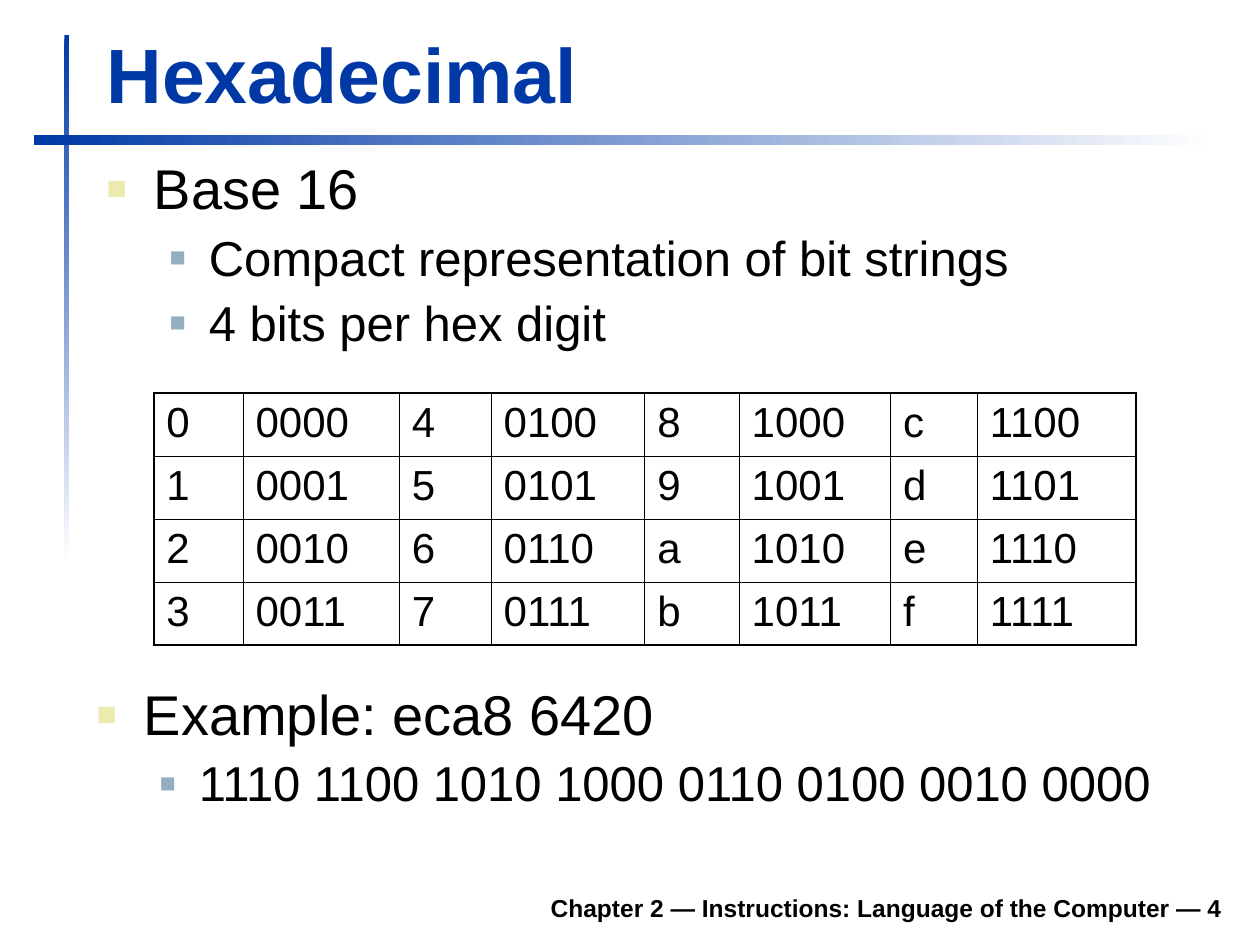
from dataclasses import dataclass

from lxml.etree import SubElement
from pptx import Presentation
from pptx.dml.color import RGBColor
from pptx.enum.shapes import MSO_SHAPE
from pptx.enum.text import MSO_ANCHOR, PP_ALIGN
from pptx.oxml.ns import qn
from pptx.util import Cm, Pt


@dataclass(frozen=True)
class Theme:
    font: str = "Arial"
    accent: str = "0039A6"
    background: str = "FFFFFF"
    text: str = "000000"
    bullet_colors: tuple = ("ECEAAC", "91AFBF")
    bullet_percents: tuple = (60, 55)
    body_sizes: tuple = (32, 28)
    title_size: int = 44
    table_size: int = 24
    footer_size: int = 14


THEME = Theme()


def write_text(paragraph, text, size, color=THEME.text, bold=False,
               align=PP_ALIGN.LEFT, space_before=0, level=None):
    """Fill a paragraph; a level gives it the bullet and indent of that level."""
    paragraph.alignment = align
    paragraph.space_before = Pt(space_before)
    run = paragraph.add_run()
    run.text = text
    run.font.name = THEME.font
    run.font.size = Pt(size)
    run.font.bold = bold
    run.font.color.rgb = RGBColor.from_string(color)
    if level is None:
        return
    paragraph.level = level
    paragraph.line_spacing = 0.9
    properties = paragraph._p.get_or_add_pPr()
    properties.set("marL", str(Cm((0.95, 2.06)[level])))
    properties.set("indent", str(-Cm((0.95, 0.79)[level])))
    bullet_color = SubElement(properties, qn("a:buClr"))
    SubElement(bullet_color, qn("a:srgbClr"), val=THEME.bullet_colors[level])
    SubElement(properties, qn("a:buSzPct"), val=str(THEME.bullet_percents[level] * 1000))
    SubElement(properties, qn("a:buFont"), typeface=THEME.font)
    SubElement(properties, qn("a:buChar"), char="■")


def add_text_frame(slide, left, top, width, height, anchor=MSO_ANCHOR.TOP):
    text_box = slide.shapes.add_textbox(Cm(left), Cm(top), Cm(width), Cm(height))
    text_frame = text_box.text_frame
    text_frame.word_wrap = True
    text_frame.vertical_anchor = anchor
    return text_frame


presentation = Presentation()
presentation.slide_width = Cm(25.4)
presentation.slide_height = Cm(19.05)
slide = presentation.slides.add_slide(presentation.slide_layouts[6])
slide.background.fill.solid()
slide.background.fill.fore_color.rgb = RGBColor.from_string(THEME.background)

# Fading bars; angles run counter-clockwise
for left, top, width, height, angle in (
    (1.3, 0.71, 0.1, 10.59, 270),
    (0.69, 2.72, 23.8, 0.2, 0),
):
    bar = slide.shapes.add_shape(
        MSO_SHAPE.RECTANGLE, Cm(left), Cm(top), Cm(width), Cm(height))
    bar.shadow.inherit = False
    bar.line.fill.background()
    bar.fill.gradient()
    bar.fill.gradient_angle = angle
    for stop, color in zip(bar.fill.gradient_stops, (THEME.accent, THEME.background)):
        stop.color.rgb = RGBColor.from_string(color)

# Footer and title
footer = add_text_frame(slide, 4.7, 17.73, 20.19, 0.99, MSO_ANCHOR.BOTTOM)
write_text(footer.paragraphs[0], "Chapter 2 — Instructions: Language of the Computer — 4",
           THEME.footer_size, bold=True, align=PP_ALIGN.RIGHT)
title = add_text_frame(slide, 1.9, 0.41, 22.94, 2.11, MSO_ANCHOR.BOTTOM)
write_text(title.paragraphs[0], "Hexadecimal", THEME.title_size,
           color=THEME.accent, bold=True)

# Bulleted text above and below the table
for left, top, height, lines in (
    (1.9, 3.12, 4.39, (("Base 16", 0),
                       ("Compact representation of bit strings", 1),
                       ("4 bits per hex digit", 1))),
    (1.7, 13.72, 3.2, (("Example: eca8 6420", 0),
                       ("1110 1100 1010 1000 0110 0100 0010 0000", 1))),
):
    body = add_text_frame(slide, left, top, 22.96, height)
    for index, (text, level) in enumerate(lines):
        paragraph = body.add_paragraph() if index else body.paragraphs[0]
        write_text(paragraph, text, THEME.body_sizes[level],
                   space_before=(8, 7)[level], level=level)

# Table of hex digits: each pair of columns holds digits and their bits
column_widths = (1.8, 3.15, 1.85, 3.1, 1.9, 3.05, 1.75, 3.2)
row_count, row_height = 4, 1.27
column_count = len(column_widths)
outer_line, pair_line, inner_line = 1.08, 0.75, 0.45
vertical_lines = [inner_line if edge % 2 else pair_line for edge in range(column_count + 1)]
vertical_lines[0] = vertical_lines[-1] = outer_line
horizontal_lines = [outer_line] + [inner_line] * (row_count - 1) + [outer_line]

table = slide.shapes.add_table(
    row_count, column_count, Cm(3.1), Cm(7.92),
    Cm(sum(column_widths)), Cm(row_count * row_height)).table
table.first_row = False
table.horz_banding = False
for column, width in zip(table.columns, column_widths):
    column.width = Cm(width)
for row_index, row in enumerate(table.rows):
    row.height = Cm(row_height)
    for column_index, cell in enumerate(row.cells):
        digit = column_index // 2 * row_count + row_index
        text = f"{digit:04b}" if column_index % 2 else f"{digit:x}"
        write_text(cell.text_frame.paragraphs[0], text, THEME.table_size, space_before=6)
        cell_properties = cell._tc.get_or_add_tcPr()
        for side, points in (
            ("L", vertical_lines[column_index]),
            ("R", vertical_lines[column_index + 1]),
            ("T", horizontal_lines[row_index]),
            ("B", horizontal_lines[row_index + 1]),
        ):
            border = SubElement(cell_properties, qn(f"a:ln{side}"), w=str(Pt(points)))
            border_fill = SubElement(border, qn("a:solidFill"))
            SubElement(border_fill, qn("a:srgbClr"), val=THEME.text)
        cell.fill.background()

presentation.save("out.pptx")
